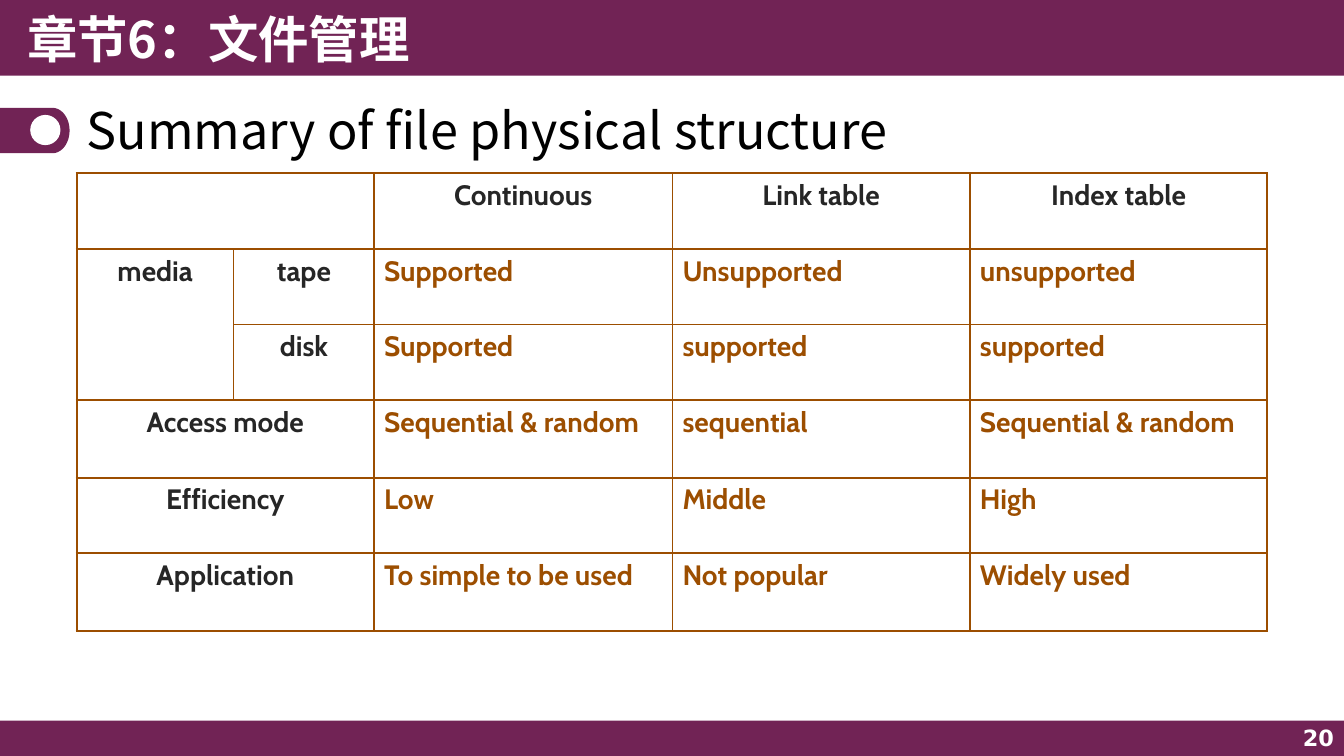
import math
from dataclasses import dataclass

import lxml.etree
import pptx
import pptx.dml.color
import pptx.enum.shapes
import pptx.enum.text
import pptx.oxml.ns
import pptx.util

Inches = pptx.util.Inches
Pt = pptx.util.Pt
Align = pptx.enum.text.PP_ALIGN
Anchor = pptx.enum.text.MSO_ANCHOR
Shapes = pptx.enum.shapes.MSO_SHAPE


@dataclass(frozen=True)
class Theme:
    plum: str = "712355"
    white: str = "FFFFFF"
    black: str = "000000"
    dark: str = "262626"
    brown: str = "9C4E00"
    heading_font: str = "Noto Sans CJK SC"
    table_font: str = "Cabin"
    number_font: str = "DejaVu Sans"
    heading_size: int = 36
    table_size: int = 20
    number_size: int = 16
    thick_border: float = 1.5
    thin_border: float = 1


THEME = Theme()
WIDTH, HEIGHT = 13.33, 7.5
COLUMN_WIDTHS = [1.56, 1.39, 2.96, 2.95, 2.95]
ROW_HEIGHTS = [0.75, 0.75, 0.75, 0.77, 0.75, 0.77]
ROWS = [
    ["", "", "Continuous", "Link table", "Index table"],
    ["media", "tape", "Supported", "Unsupported", "unsupported"],
    ["", "disk", "Supported", "supported", "supported"],
    ["Access mode", "", "Sequential & random", "sequential", "Sequential & random"],
    ["Efficiency", "", "Low", "Middle", "High"],
    ["Application", "", "To simple to be used", "Not popular", "Widely used"],
]
MERGES = [((0, 0), (0, 1)), ((1, 0), (2, 0))] + [((row, 0), (row, 1)) for row in (3, 4, 5)]


def rgb(color):
    return pptx.dml.color.RGBColor.from_string(color)


def write_text(frame, text, *, font, size, color, bold=False, align=Align.LEFT, line_spacing=None):
    paragraph = frame.paragraphs[0]
    paragraph.alignment = align
    if line_spacing:
        paragraph.line_spacing = line_spacing
    run = paragraph.add_run()
    run.text = text
    run.font.name = font
    run.font.size = Pt(size)
    run.font.bold = bold
    run.font.color.rgb = rgb(color)
    properties = run.font._element
    east_asian = lxml.etree.SubElement(properties, pptx.oxml.ns.qn("a:ea"))
    east_asian.set("typeface", font)


def add_text(slide, bounds, text, **text_format):
    shape = slide.shapes.add_textbox(*map(Inches, bounds))
    shape.text_frame.word_wrap = True
    shape.text_frame.vertical_anchor = Anchor.MIDDLE
    write_text(shape.text_frame, text, **text_format)


def paint(shape, color):
    shape.shadow.inherit = False
    shape.fill.solid()
    shape.fill.fore_color.rgb = rgb(color)
    shape.line.fill.background()


def add_block(slide, kind, bounds, color):
    paint(slide.shapes.add_shape(kind, *map(Inches, bounds)), color)


def add_tab(slide, top, straight, radius_x, radius_y):
    steps = 32
    angles = [math.pi * (step / steps - 0.5) for step in range(steps + 1)]
    curve = [
        (
            Inches(straight + radius_x * math.cos(angle)),
            Inches(top + radius_y * (1 + math.sin(angle))),
        )
        for angle in angles
    ]
    builder = slide.shapes.build_freeform(0, Inches(top))
    builder.add_line_segments(curve + [(0, Inches(top + 2 * radius_y))], close=True)
    paint(builder.convert_to_shape(), THEME.plum)


def set_borders(cell, thin_side=None):
    properties = cell._tc.get_or_add_tcPr()
    for side in "LRTB":
        width = THEME.thin_border if side == thin_side else THEME.thick_border
        line = lxml.etree.SubElement(properties, pptx.oxml.ns.qn(f"a:ln{side}"), w=str(Pt(width)))
        fill = lxml.etree.SubElement(line, pptx.oxml.ns.qn("a:solidFill"))
        lxml.etree.SubElement(fill, pptx.oxml.ns.qn("a:srgbClr"), val=THEME.brown)


def add_summary_table(slide, left, top):
    size = (sum(COLUMN_WIDTHS), sum(ROW_HEIGHTS))
    frame = slide.shapes.add_table(
        len(ROWS), len(COLUMN_WIDTHS), *map(Inches, (left, top, *size))
    )
    table = frame.table
    table.first_row = False
    table.horz_banding = False
    for column, width in zip(table.columns, COLUMN_WIDTHS):
        column.width = Inches(width)
    for row, height in zip(table.rows, ROW_HEIGHTS):
        row.height = Inches(height)
    for first, last in MERGES:
        table.cell(*first).merge(table.cell(*last))
    for row_index, texts in enumerate(ROWS):
        for column_index, text in enumerate(texts):
            cell = table.cell(row_index, column_index)
            is_label = row_index == 0 or column_index < 2
            thin_side = {0: "R", 1: "L"}.get(column_index) if row_index in (1, 2) else None
            set_borders(cell, thin_side)
            cell.fill.solid()
            cell.fill.fore_color.rgb = rgb(THEME.white)
            if text:
                write_text(
                    cell.text_frame,
                    text,
                    font=THEME.table_font,
                    size=THEME.table_size,
                    color=THEME.dark if is_label else THEME.brown,
                    bold=True,
                    align=Align.CENTER if is_label else Align.LEFT,
                )


def main():
    presentation = pptx.Presentation()
    presentation.slide_width = Inches(WIDTH)
    presentation.slide_height = Inches(HEIGHT)
    slide = presentation.slides.add_slide(presentation.slide_layouts[6])

    add_block(slide, Shapes.RECTANGLE, (0, 7.15, WIDTH, 0.35), THEME.plum)
    add_block(slide, Shapes.RECTANGLE, (0, 0, WIDTH, 0.75), THEME.plum)
    add_tab(slide, top=1.07, straight=0.52, radius_x=0.17, radius_y=0.225)
    add_block(slide, Shapes.OVAL, (0.3, 1.14, 0.3, 0.3), THEME.white)

    add_text(slide, (0.17, 0, 6.67, 0.77), "章节6：文件管理", font=THEME.heading_font,
             size=THEME.heading_size, color=THEME.white, bold=True)
    add_text(slide, (10.33, 7.14, 3, 0.36), "20", font=THEME.number_font,
             size=THEME.number_size, color=THEME.white, bold=True, align=Align.RIGHT)
    add_text(slide, (0.76, 0.95, 11.81, 0.74), "Summary of file physical structure",
             font=THEME.heading_font, size=THEME.heading_size, color=THEME.black,
             line_spacing=0.9)
    add_summary_table(slide, 0.76, 1.72)

    presentation.save("out.pptx")


if __name__ == "__main__":
    main()
